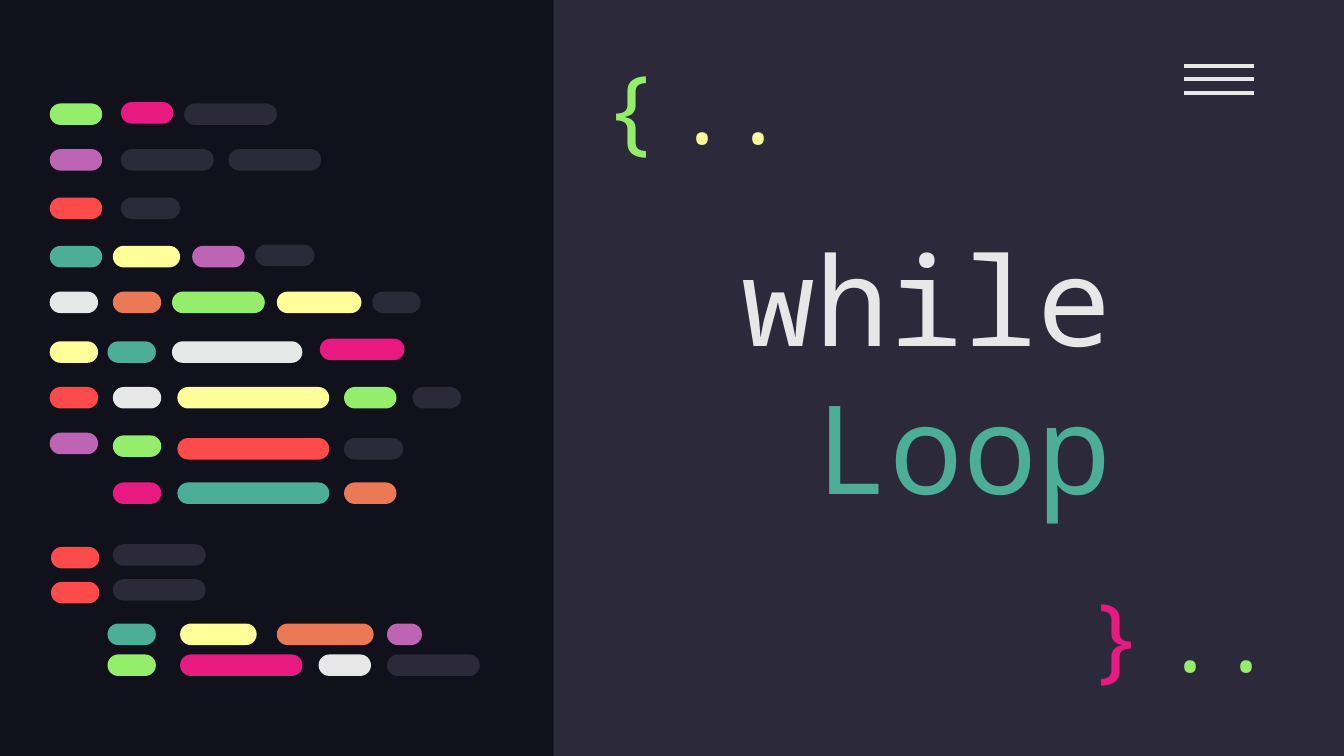
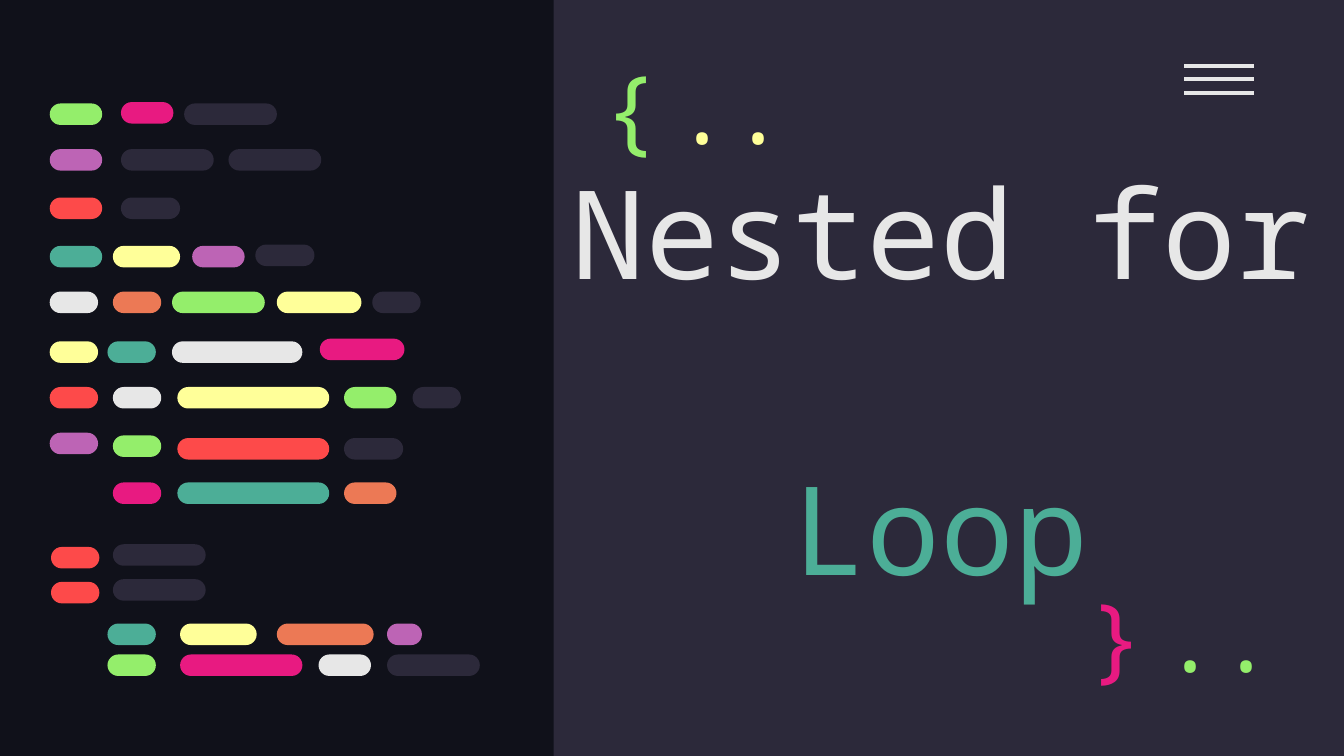
from lxml.etree import SubElement
from pptx import Presentation
from pptx.dml.color import RGBColor
from pptx.enum.shapes import MSO_CONNECTOR, MSO_SHAPE
from pptx.enum.text import MSO_ANCHOR, PP_ALIGN
from pptx.oxml.ns import qn
from pptx.util import Inches, Pt

NIGHT = RGBColor(0x10, 0x11, 0x1A)
SLATE = RGBColor(0x2C, 0x29, 0x3A)
WHITE = RGBColor(0xE7, 0xE7, 0xE7)
GREEN = RGBColor(0x94, 0xEE, 0x6B)
PINK = RGBColor(0xE8, 0x1A, 0x81)
PURPLE = RGBColor(0xBD, 0x64, 0xB5)
RED = RGBColor(0xFD, 0x4A, 0x4A)
TEAL = RGBColor(0x4C, 0xAE, 0x97)
YELLOW = RGBColor(0xFF, 0xFF, 0x99)
ORANGE = RGBColor(0xEC, 0x79, 0x55)

FONT = "Noto Sans Mono"
WIDTH = 10
HEIGHT = WIDTH * 9 / 16
SPLIT = 4.12
PILL = 0.16

# Rows of mock code: top, then (left, width, colour) for each pill
CODE = [
    (0.77, [(0.37, 0.39, GREEN), (1.37, 0.69, SLATE)]),
    (0.76, [(0.9, 0.39, PINK)]),
    (1.11, [(0.37, 0.39, PURPLE), (0.9, 0.69, SLATE), (1.7, 0.69, SLATE)]),
    (1.47, [(0.37, 0.39, RED), (0.9, 0.44, SLATE)]),
    (1.83, [(0.37, 0.39, TEAL), (0.84, 0.5, YELLOW), (1.43, 0.39, PURPLE)]),
    (1.82, [(1.9, 0.44, SLATE)]),
    (2.17, [(0.37, 0.36, WHITE), (0.84, 0.36, ORANGE), (1.28, 0.69, GREEN),
            (2.06, 0.63, YELLOW), (2.77, 0.36, SLATE)]),
    (2.54, [(0.37, 0.36, YELLOW), (0.8, 0.36, TEAL), (1.28, 0.97, WHITE)]),
    (2.52, [(2.38, 0.63, PINK)]),
    (2.88, [(0.37, 0.36, RED), (0.84, 0.36, WHITE), (1.32, 1.13, YELLOW),
            (2.56, 0.39, GREEN), (3.07, 0.36, SLATE)]),
    (3.22, [(0.37, 0.36, PURPLE)]),
    (3.24, [(0.84, 0.36, GREEN)]),
    (3.26, [(1.32, 1.13, RED), (2.56, 0.44, SLATE)]),
    (3.59, [(0.84, 0.36, PINK), (1.32, 1.13, TEAL), (2.56, 0.39, ORANGE)]),
    (4.05, [(0.84, 0.69, SLATE)]),
    (4.07, [(0.38, 0.36, RED)]),
    (4.31, [(0.84, 0.69, SLATE)]),
    (4.33, [(0.38, 0.36, RED)]),
    (4.64, [(0.8, 0.36, TEAL), (1.34, 0.57, YELLOW), (2.06, 0.72, ORANGE),
            (2.88, 0.26, PURPLE)]),
    (4.87, [(0.8, 0.36, GREEN), (1.34, 0.91, PINK), (2.37, 0.39, WHITE),
            (2.88, 0.69, SLATE)]),
]


class Deck:
    """Holds the presentation, its style and the slide being drawn."""

    def __init__(self):
        self.prs = Presentation()
        self.prs.slide_width = Inches(WIDTH)
        self.prs.slide_height = Inches(HEIGHT)
        self.slide = None

    def start(self):
        self.slide = self.prs.slides.add_slide(self.prs.slide_layouts[6])
        fill = self.slide.background.fill
        fill.solid()
        fill.fore_color.rgb = NIGHT

    def block(self, kind, box, color, group=None):
        shapes = (group or self.slide).shapes
        shape = shapes.add_shape(kind, *map(Inches, box))
        shape.shadow.inherit = False
        shape.fill.solid()
        shape.fill.fore_color.rgb = color
        shape.line.fill.background()
        return shape

    def code(self):
        group = self.slide.shapes.add_group_shape()
        for top, pills in CODE:
            for left, width, color in pills:
                pill = self.block(MSO_SHAPE.ROUNDED_RECTANGLE,
                                  (left, top, width, PILL), color, group)
                pill.adjustments[0] = 0.5

    def menu(self):
        group = self.slide.shapes.add_group_shape()
        for row in range(3):
            y = Inches(0.49 + 0.1 * row)
            bar = group.shapes.add_connector(
                MSO_CONNECTOR.STRAIGHT, Inches(8.81), y, Inches(9.33), y)
            bar.line.color.rgb = WHITE
            bar.line.width = Pt(2.25)
            SubElement(bar.element.spPr, qn("a:effectLst"))

    def text(self, box, parts, size=50, align=PP_ALIGN.LEFT,
             anchor=MSO_ANCHOR.MIDDLE):
        """Write one paragraph; each (words, colour) part starts a line."""
        frame = self.slide.shapes.add_textbox(*map(Inches, box)).text_frame
        frame.word_wrap = True
        frame.vertical_anchor = anchor
        frame.margin_left = frame.margin_right = Inches(0.1)
        frame.margin_top = frame.margin_bottom = Inches(0.1)
        para = frame.paragraphs[0]
        para.alignment = align
        para.font.name = FONT
        para.font.size = Pt(size)
        for index, (words, color) in enumerate(parts):
            if index:
                para.add_line_break()
            run = para.add_run()
            run.text = words
            run.font.color.rgb = color

    def brace(self, box, mark, color):
        self.text(box, [(mark, color)], anchor=MSO_ANCHOR.TOP)

    def dots(self, left, top, color):
        self.text((left, top, 1.07, 0.6), [("..", color)],
                  align=PP_ALIGN.RIGHT)

    def cover(self, box, words):
        """Add a section slide titled with a kind of loop."""
        self.start()
        self.block(MSO_SHAPE.RECTANGLE, (SPLIT, 0, WIDTH - SPLIT, HEIGHT),
                   SLATE)
        self.menu()
        self.text(box, [(words, WHITE), ("Loop", TEAL)], 66, PP_ALIGN.CENTER)
        self.code()
        self.brace((4.39, 0.27, 0.77, 0.95), "{", GREEN)
        self.brace((8, 4.2, 0.57, 0.83), "}", PINK)
        self.dots(8.51, 4.43, GREEN)
        self.dots(4.88, 0.5, YELLOW)


def main():
    deck = Deck()
    deck.cover((4.34, 1.38, 5.66, 2.77), "while ")
    deck.cover((4, 1.43, 6, 2.77), "Nested for ")
    deck.prs.save("out.pptx")


if __name__ == "__main__":
    main()
